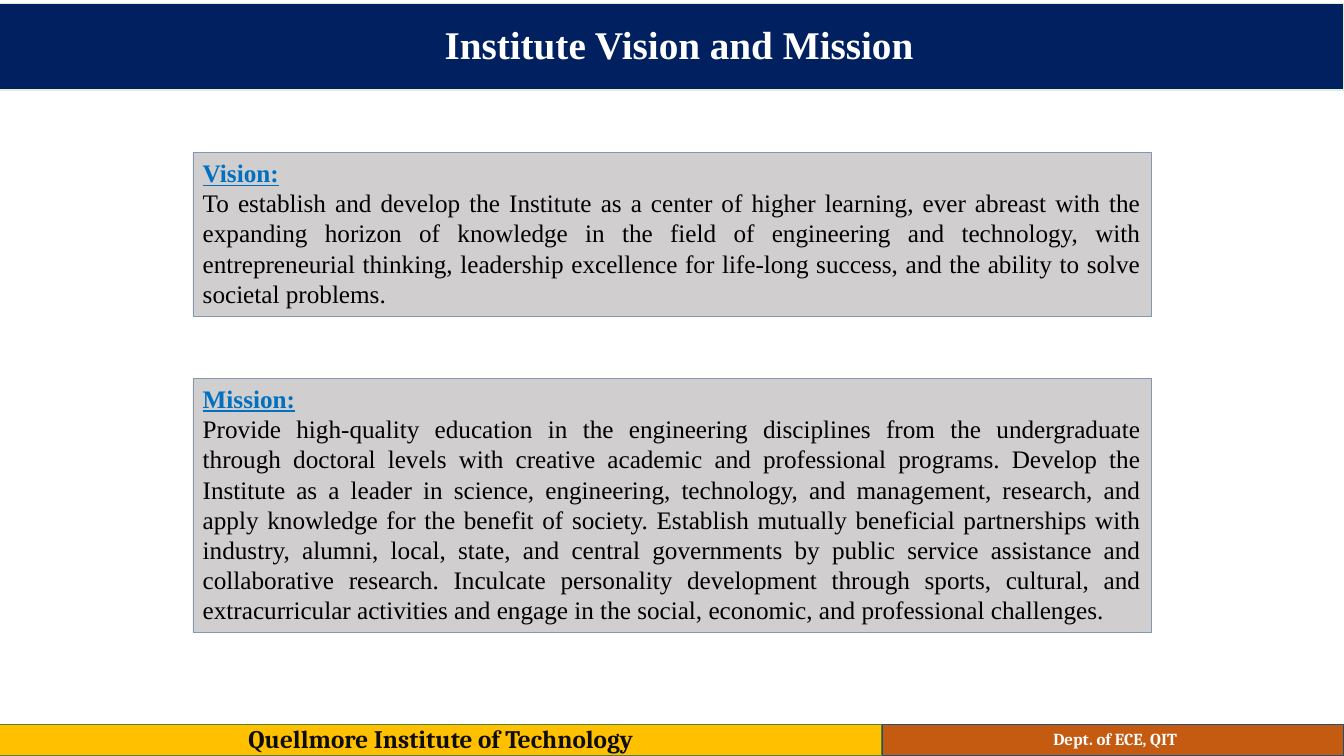
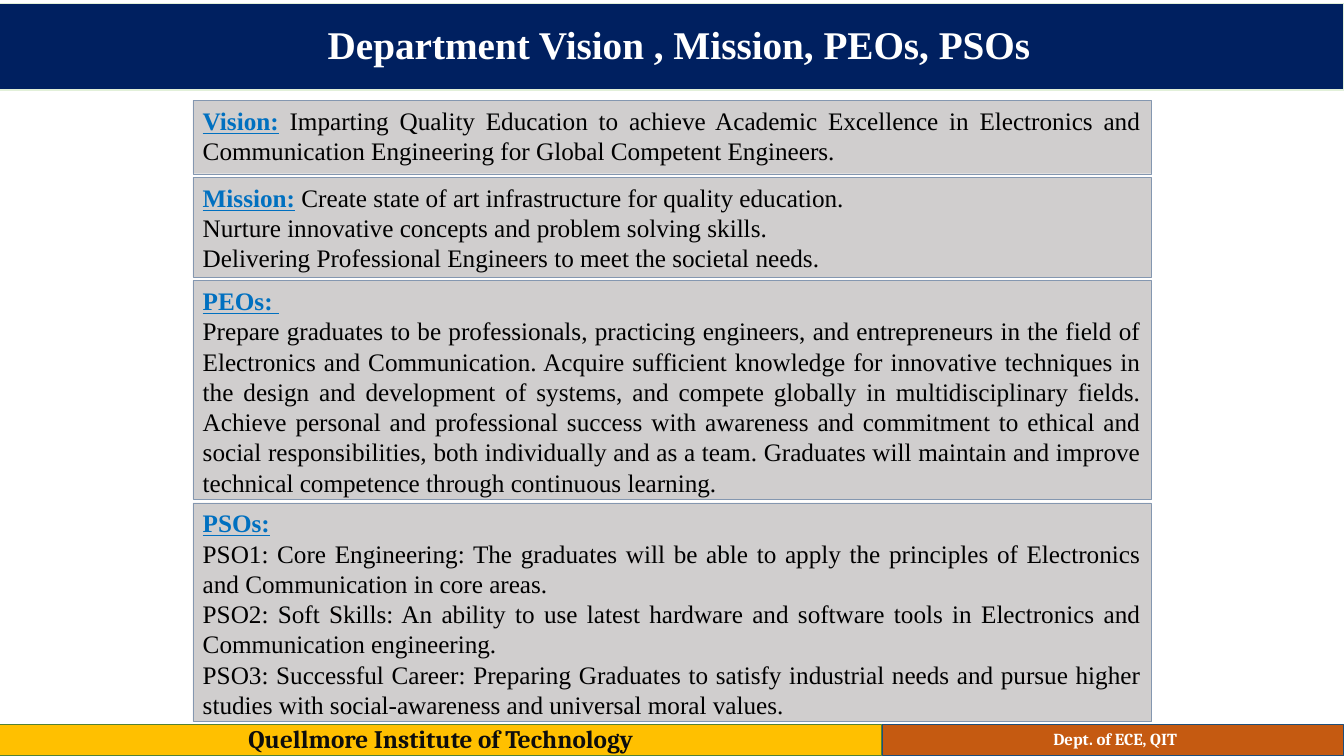
from dataclasses import dataclass

from pptx import Presentation
from pptx.dml.color import RGBColor
from pptx.enum.shapes import MSO_SHAPE
from pptx.enum.text import MSO_ANCHOR, PP_ALIGN
from pptx.shapes.autoshape import Shape
from pptx.slide import Slide
from pptx.util import Cm, Pt

COLORS = {
    "navy": "002060",
    "title_line": "E2F0D9",
    "gold": "FFC000",
    "gold_line": "548235",
    "rust": "C55A11",
    "rust_line": "1F4E79",
    "panel": "D0CECE",
    "panel_line": "8497B0",
    "label": "0070C0",
    "ink": "0D0D0D",
    "black": "000000",
    "white": "FFFFFF",
}
SERIF = "Times New Roman"
FOOTER_FONT = "Cambria"
SLIDE_W, SLIDE_H = 33.87, 19.05
PANEL_LEFT, PANEL_W = 4.86, 24.15
FOOTER_TOP, FOOTER_H = 18.26, 0.79


@dataclass(frozen=True)
class Band:
    left: float
    top: float
    width: float
    height: float
    fill: str
    line: str
    size: float
    font: str
    color: str
    inset: float = 0.25


@dataclass(frozen=True)
class Panel:
    label: str
    height: float
    paragraphs: tuple[str, ...]
    inline: bool = False


@dataclass(frozen=True)
class Page:
    title: str
    top: float
    gap: float
    panels: tuple[Panel, ...]


TITLE = Band(0, 0.09, SLIDE_W, 2.18, "navy", "title_line", 28, SERIF, "white", inset=0.6)
FOOTERS = (
    ("Quellmore Institute of Technology",
     Band(0, FOOTER_TOP, 22.22, FOOTER_H, "gold", "gold_line", 18, FOOTER_FONT, "ink")),
    ("Dept. of ECE, QIT",
     Band(22.24, FOOTER_TOP, 11.63, FOOTER_H, "rust", "rust_line", 12, FOOTER_FONT, "white",
          inset=0.35)),
)

PAGES = (
    Page("Institute Vision and Mission", 3.84, 1.55, (
        Panel("Vision:", 4.14, (
            "To establish and develop the Institute as a center of higher learning, ever abreast "
            "with the expanding horizon of knowledge in the field of engineering and technology, "
            "with entrepreneurial thinking, leadership excellence for life-long success, and the "
            "ability to solve societal problems.",
        )),
        Panel("Mission:", 6.4, (
            "Provide high-quality education in the engineering disciplines from the undergraduate "
            "through doctoral levels with creative academic and professional programs. Develop the "
            "Institute as a leader in science, engineering, technology, and management, research, "
            "and apply knowledge for the benefit of society. Establish mutually beneficial "
            "partnerships with industry, alumni, local, state, and central governments by public "
            "service assistance and collaborative research. Inculcate personality development "
            "through sports, cultural, and extracurricular activities and engage in the social, "
            "economic, and professional challenges.",
        )),
    )),
    Page("Department Vision , Mission, PEOs, PSOs", 2.53, 0.09, (
        Panel("Vision:", 1.85, (
            "Imparting Quality Education to achieve Academic Excellence in Electronics and "
            "Communication Engineering for Global Competent Engineers.",
        ), inline=True),
        Panel("Mission:", 2.51, (
            "Create state of art infrastructure for quality education.",
            "Nurture innovative concepts and problem solving skills.",
            "Delivering Professional Engineers to meet the societal needs.",
        ), inline=True),
        Panel("PEOs: ", 5.51, (
            "Prepare graduates to be professionals, practicing engineers, and entrepreneurs in the "
            "field of Electronics and Communication. Acquire sufficient knowledge for innovative "
            "techniques in the design and development of systems, and compete globally in "
            "multidisciplinary fields. Achieve personal and professional success with awareness "
            "and commitment to ethical and social responsibilities, both individually and as a "
            "team. Graduates will maintain and improve technical competence through continuous "
            "learning.",
        )),
        Panel("PSOs:", 5.51, (
            "PSO1: Core Engineering: The graduates will be able to apply the principles of "
            "Electronics and Communication in core areas.",
            "PSO2: Soft Skills: An ability to use latest hardware and software tools in "
            "Electronics and Communication engineering.",
            "PSO3: Successful Career: Preparing Graduates to satisfy industrial needs and pursue "
            "higher studies with social-awareness and universal moral values.",
        )),
    )),
)


def rgb(name: str) -> RGBColor:
    return RGBColor.from_string(COLORS[name])


def add_text(p, text: str, *, size: float = 18, font: str = SERIF, color: str = "black",
             bold: bool = False, underline: bool = False) -> None:
    r = p.add_run()
    r.text = text
    r.font.size = Pt(size)
    r.font.name = font
    r.font.bold = bold
    r.font.underline = underline
    r.font.color.rgb = rgb(color)


def add_box(s: Slide, left: float, top: float, width: float, height: float, *,
            fill: str, line: str, weight: float) -> Shape:
    sp = s.shapes.add_shape(MSO_SHAPE.RECTANGLE, Cm(left), Cm(top), Cm(width), Cm(height))
    sp.shadow.inherit = False
    sp.fill.solid()
    sp.fill.fore_color.rgb = rgb(fill)
    sp.line.color.rgb = rgb(line)
    sp.line.width = Pt(weight)
    sp.text_frame.word_wrap = True
    return sp


def draw_band(s: Slide, text: str, band: Band) -> None:
    sp = add_box(s, band.left, band.top, band.width, band.height,
                 fill=band.fill, line=band.line, weight=0.75)
    tf = sp.text_frame
    tf.vertical_anchor = MSO_ANCHOR.MIDDLE
    tf.margin_left = Cm(band.inset)
    p = tf.paragraphs[0]
    p.alignment = PP_ALIGN.CENTER
    p.line_spacing = 0.9
    add_text(p, text, size=band.size, font=band.font, color=band.color, bold=True)


def draw_panel(s: Slide, panel: Panel, top: float) -> None:
    sp = add_box(s, PANEL_LEFT, top, PANEL_W, panel.height,
                 fill="panel", line="panel_line", weight=0.25)
    tf = sp.text_frame
    tf.vertical_anchor = MSO_ANCHOR.TOP
    p = tf.paragraphs[0]
    p.alignment = PP_ALIGN.LEFT
    add_text(p, panel.label, color="label", bold=True, underline=True)
    if panel.inline:
        add_text(p, " ")
    for i, text in enumerate(panel.paragraphs):
        if i or not panel.inline:
            p = tf.add_paragraph()
        p.alignment = PP_ALIGN.JUSTIFY
        add_text(p, text)


def draw_page(s: Slide, page: Page) -> None:
    for text, band in FOOTERS:
        draw_band(s, text, band)
    draw_band(s, page.title, TITLE)
    top = page.top
    for panel in page.panels:
        draw_panel(s, panel, top)
        top += panel.height + page.gap


def main() -> None:
    prs = Presentation()
    prs.slide_width, prs.slide_height = Cm(SLIDE_W), Cm(SLIDE_H)
    for page in PAGES:
        draw_page(prs.slides.add_slide(prs.slide_layouts[6]), page)
    prs.save("out.pptx")


if __name__ == "__main__":
    main()
